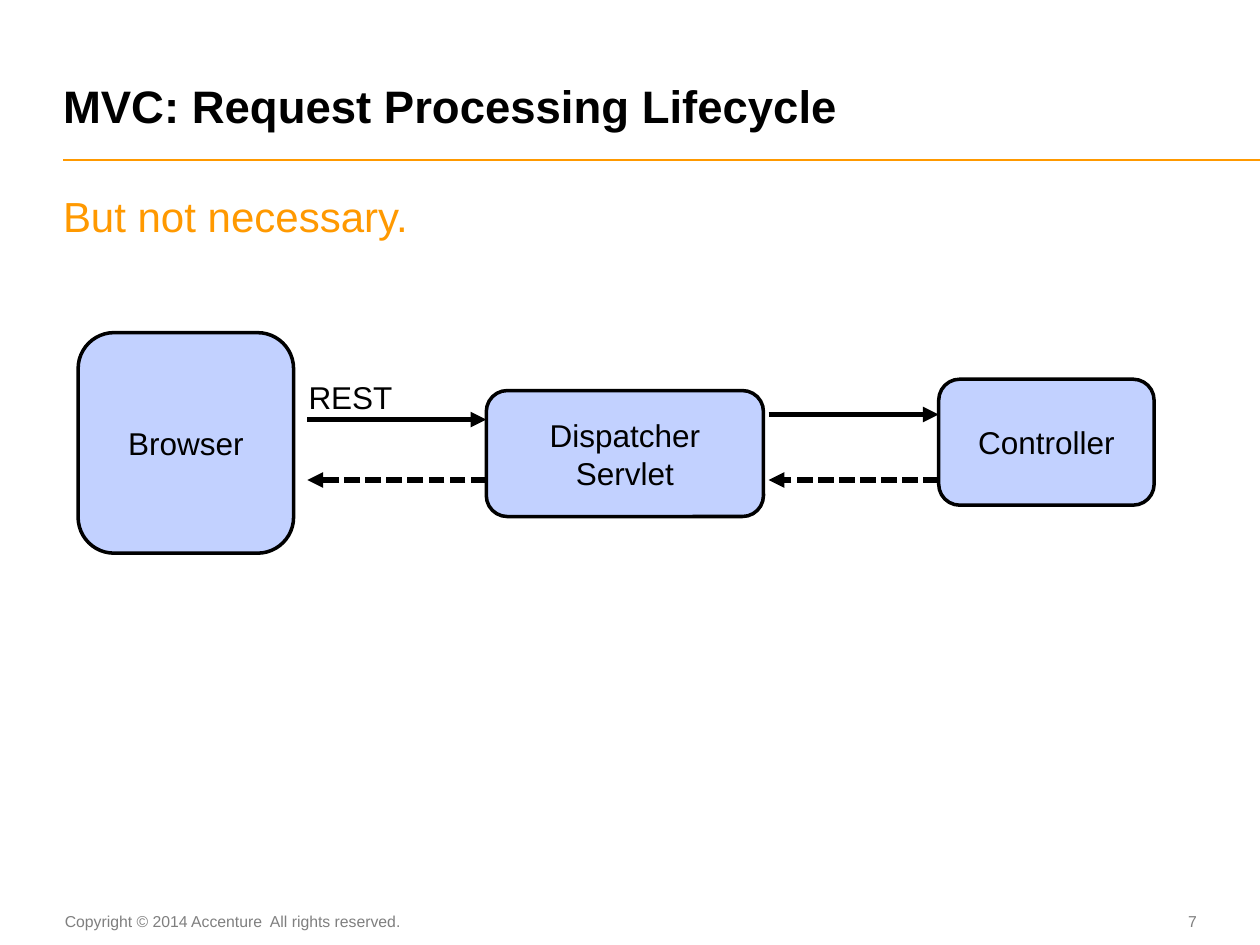
from lxml.etree import SubElement as Sub
from pptx import Presentation
from pptx.dml.color import RGBColor
from pptx.enum.dml import MSO_LINE_DASH_STYLE as Dash
from pptx.enum.shapes import MSO_CONNECTOR as Conn, MSO_SHAPE as Form
from pptx.enum.text import MSO_ANCHOR as Anchor, MSO_AUTO_SIZE as Fit, PP_ALIGN as Align
from pptx.oxml.ns import qn
from pptx.util import Inches, Pt

BLACK = RGBColor(0x00, 0x00, 0x00)
ORANGE = RGBColor(0xFF, 0x99, 0x00)
BLUE = RGBColor(0xC2, 0xD1, 0xFF)
GREY = RGBColor(0x7F, 0x7F, 0x7F)
FONT = "Arial"

# Grid of square cells: 100 columns by 75 rows
COLS, ROWS = 100, 75
CELL = Inches(0.1)
EDGE = 5


def cells(*nums):
    return [round(n * CELL) for n in nums]


def write(shape, text, size, color, align=Align.LEFT, anchor=Anchor.TOP,
          bold=False, pad=None, wrap=True):
    frame = shape.text_frame
    frame.auto_size = Fit.NONE
    frame.word_wrap = wrap
    frame.vertical_anchor = anchor
    if pad is not None:
        (frame.margin_left, frame.margin_top,
         frame.margin_right, frame.margin_bottom) = cells(*pad)
    para = frame.paragraphs[0]
    para.alignment = align
    para.space_before = Pt(0)
    run = para.add_run()
    run.text = text
    font = run.font
    font.name, font.size, font.bold = FONT, Pt(size), bold
    font.color.rgb = color
    return para


def place(shape, *area):
    shape.left, shape.top, shape.width, shape.height = cells(*area)


def label(slide, text, area, size, color, **style):
    box = slide.shapes.add_textbox(*cells(*area))
    write(box, text, size, color, **style)


def node(slide, text, area):
    box = slide.shapes.add_shape(Form.ROUNDED_RECTANGLE, *cells(*area))
    box.shadow.inherit = False
    box.fill.solid()
    box.fill.fore_color.rgb = BLUE
    box.line.color.rgb = BLACK
    box.line.width = Pt(2)
    write(box, text, 18, BLACK, align=Align.CENTER, anchor=Anchor.MIDDLE)


def rule(slide, start, end, row, color, width):
    line = slide.shapes.add_connector(Conn.STRAIGHT, *cells(start, row, end, row))
    line.line.color.rgb = color
    line.line.width = Pt(width)
    Sub(line._element.spPr, qn("a:effectLst"))
    return line.line


def arrow(slide, start, end, row, dashed=False):
    line = rule(slide, start, end, row, BLACK, 3)
    if dashed:
        line.dash_style = Dash.SQUARE_DOT
    Sub(line._get_or_add_ln(), qn("a:tailEnd"), type="triangle")


def heads(slide):
    title, body = slide.shapes.title, slide.placeholders[1]
    place(title, EDGE, 1.9, 89.7, 8.6)
    para = write(title, "MVC: Request Processing Lifecycle", 26, BLACK,
                 anchor=Anchor.BOTTOM, bold=True, pad=(0, 0, 0, 0))
    para.line_spacing = Pt(26)

    place(body, EDGE, 15.1, COLS - 2 * EDGE, 52.8)
    para = write(body, "But not necessary.", 24, ORANGE, pad=(0, 0, 0, 0))
    props = para._p.get_or_add_pPr()
    props.set("marL", "0")
    props.set("indent", "0")
    Sub(props, qn("a:buNone"))


def frame(slide):
    rule(slide, EDGE, COLS, 12.7, ORANGE, 1)
    label(slide, "Copyright © 2014 Accenture  All rights reserved.",
          (4.9, ROWS - 3.1, 28.1, 2.5), 9, GREY,
          align=Align.CENTER, pad=(0, 0.5, 1, 0.5))
    label(slide, "7", (89.1, ROWS - 3.2, 5.9, 2.7), 9, GREY,
          align=Align.RIGHT, anchor=Anchor.MIDDLE, pad=(0, 0, 0, 0))


def flow(slide):
    # Boxes
    disp, ctrl = 38.6, 74.5
    node(slide, "Browser", (6.2, 26.4, 17.1, 17.5))
    node(slide, "Dispatcher Servlet", (disp, 31, 22, 10))
    node(slide, "Controller", (ctrl, 30.1, 17.1, 10))

    # Request goes right, response comes back dashed
    for near, far, row in ((24.4, disp, 33.3), (61, ctrl, 32.9)):
        arrow(slide, near, far, row)
        arrow(slide, far, near, 38.1, dashed=True)
    label(slide, "REST", (23.5, 29.5, 8.8, 4), 18, BLACK, wrap=False)


def main():
    deck = Presentation()
    deck.slide_width, deck.slide_height = cells(COLS, ROWS)
    slide = deck.slides.add_slide(deck.slide_layouts[1])
    frame(slide)
    heads(slide)
    flow(slide)
    deck.save("out.pptx")


if __name__ == "__main__":
    main()
